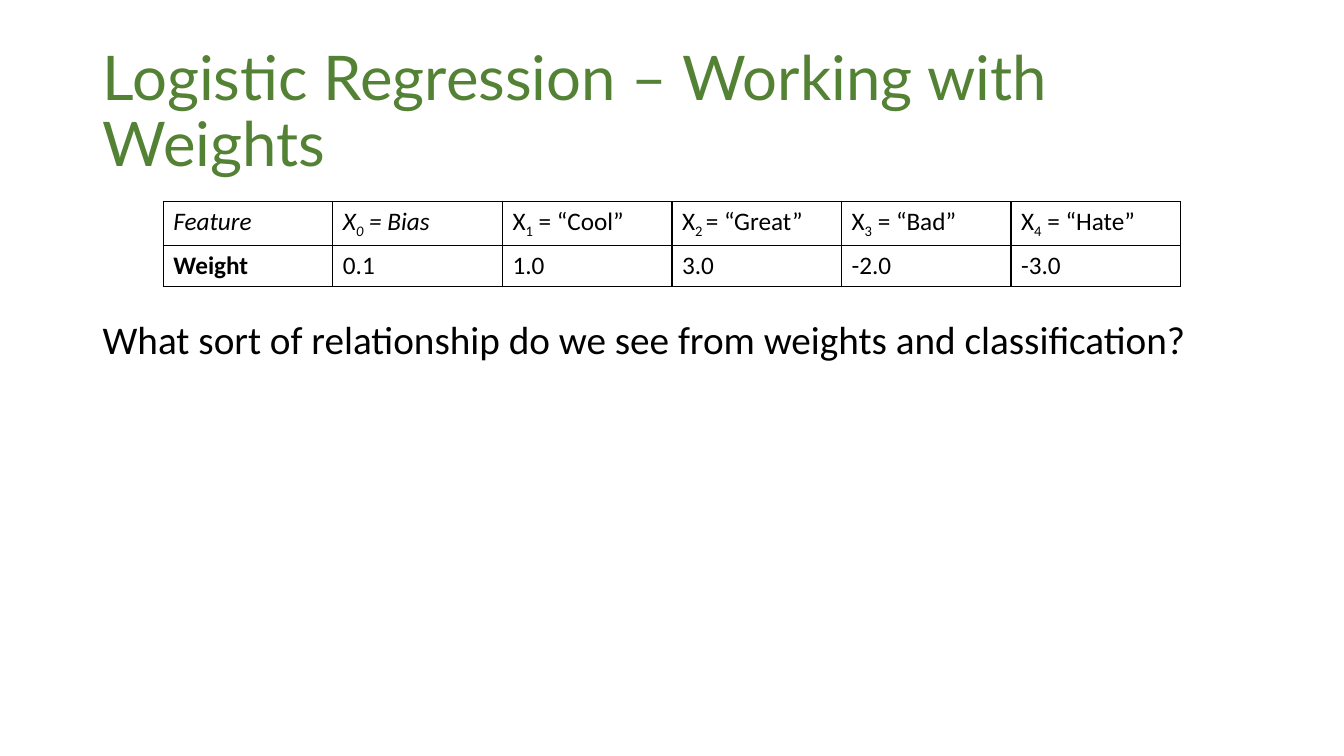
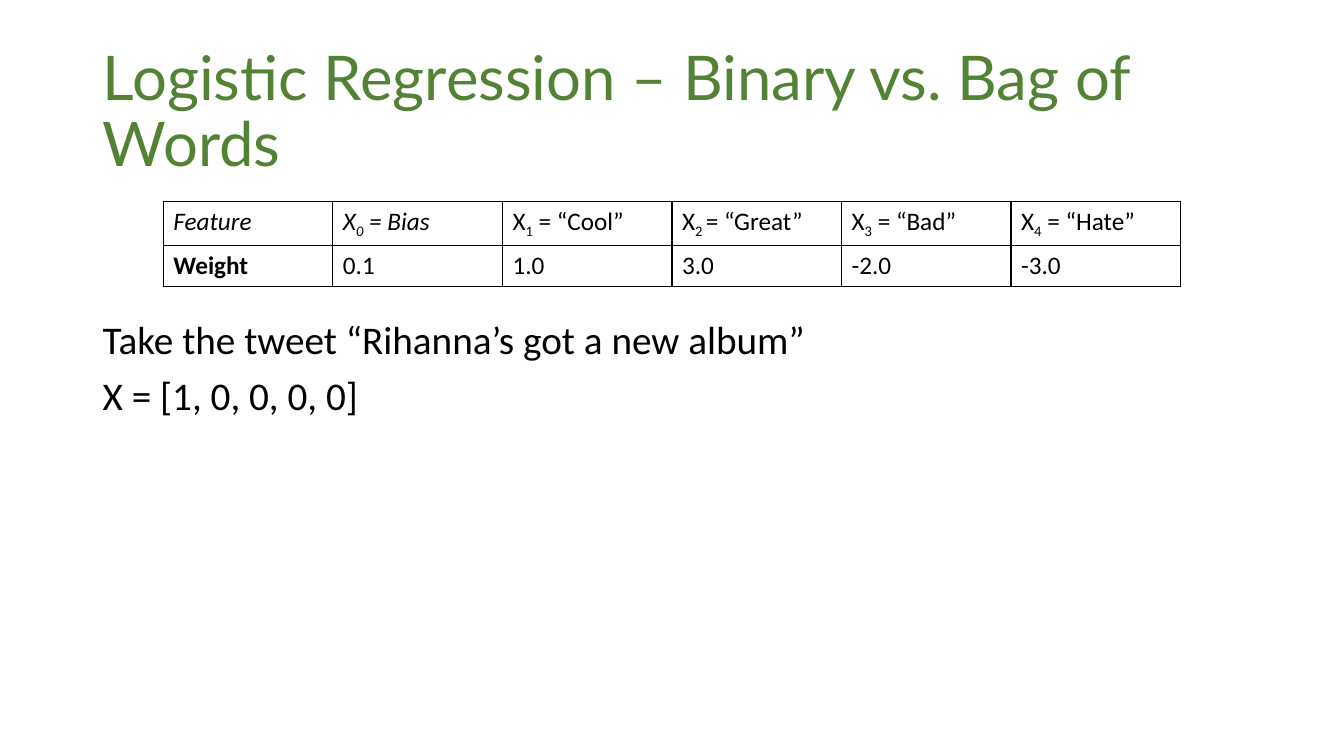
from lxml import etree
from pptx import Presentation
from pptx.dml.color import RGBColor
from pptx.enum.text import MSO_ANCHOR, MSO_AUTO_SIZE, PP_ALIGN
from pptx.oxml.ns import qn
from pptx.util import Inches, Pt

LEFT = PP_ALIGN.LEFT
TOP = MSO_ANCHOR.TOP
MIDDLE = MSO_ANCHOR.MIDDLE
NO_AUTOFIT = MSO_AUTO_SIZE.NONE
TITLE_ONLY = 5

FEATURES = [
    ["Feature"],
    ["X", "0", " = Bias"],
    ["X", "1", " = “Cool”"],
    ["X", "2 ", "= “Great”"],
    ["X", "3", " = “Bad”"],
    ["X", "4", " = “Hate”"],
]
WEIGHTS = ["Weight", "0.1", "1.0", "3.0", "-2.0", "-3.0"]
ITALIC_COLUMNS = 2

SLIDES = [
    (
        "Logistic Regression – Working with Weights",
        ["What sort of relationship do we see from weights and classification?"],
    ),
    (
        "Logistic Regression – Binary vs. Bag of Words",
        ["Take the tweet “Rihanna’s got a new album”", "X = [1, 0, 0, 0, 0]"],
    ),
]


def color(hex_string):
    return RGBColor.from_string(hex_string)


class Deck:
    TITLE_FONT = "Lato"
    BODY_FONT = "Calibri"
    GREEN = "548235"
    BLACK = "000000"
    WHITE = "FFFFFF"
    LEFT_EDGE = Inches(0.92)
    CONTENT_WIDTH = Inches(11.5)

    def __init__(self):
        self.presentation = Presentation()
        self.presentation.slide_width = Inches(13.33)
        self.presentation.slide_height = Inches(7.5)
        self.slide = None

    def add_slide(self, title):
        layout = self.presentation.slide_layouts[TITLE_ONLY]
        self.slide = self.presentation.slides.add_slide(layout)
        shape = self.slide.shapes.title
        shape.left, shape.top = self.LEFT_EDGE, Inches(0.4)
        shape.width, shape.height = self.CONTENT_WIDTH, Inches(1.45)
        self.format_frame(shape.text_frame, MIDDLE)
        paragraph = shape.text_frame.paragraphs[0]
        paragraph.alignment = LEFT
        paragraph.line_spacing = 0.9
        self.add_run(paragraph, title, 44, self.TITLE_FONT, self.GREEN)

    def format_frame(self, frame, anchor):
        frame.word_wrap = True
        frame.auto_size = NO_AUTOFIT
        frame.vertical_anchor = anchor

    def add_run(self, paragraph, text, size, font=BODY_FONT, hex_string=BLACK,
                bold=False, italic=False, subscript=False):
        run = paragraph.add_run()
        run.text = text
        run.font.size = Pt(size)
        run.font.name = font
        run.font.bold = bold
        run.font.italic = italic
        run.font.color.rgb = color(hex_string)
        if subscript:
            run._r.get_or_add_rPr().set("baseline", "-25000")

    def add_body(self, lines):
        shape = self.slide.shapes.add_textbox(
            self.LEFT_EDGE, Inches(3.13), self.CONTENT_WIDTH, Inches(4.37))
        frame = shape.text_frame
        self.format_frame(frame, TOP)
        for index, line in enumerate(lines):
            paragraph = frame.add_paragraph() if index else frame.paragraphs[0]
            paragraph.line_spacing = 0.9
            paragraph.space_before = Pt(10 if index else 0)
            self.add_run(paragraph, line, 28)

    def add_weight_table(self):
        table = self.slide.shapes.add_table(
            2, len(FEATURES), Inches(1.62), Inches(2),
            Inches(10.09), Inches(0.81)).table
        table.first_row = False
        table.horz_banding = False
        for column, (feature, weight) in enumerate(zip(FEATURES, WEIGHTS)):
            italic = column < ITALIC_COLUMNS
            paragraph = self.format_cell(table.cell(0, column))
            for position, text in enumerate(feature):
                self.add_run(paragraph, text, 18, italic=italic,
                             subscript=position == 1)
            paragraph = self.format_cell(table.cell(1, column))
            self.add_run(paragraph, weight, 18, bold=column == 0)

    def format_cell(self, cell):
        cell.fill.solid()
        cell.fill.fore_color.rgb = color(self.WHITE)
        properties = cell._tc.get_or_add_tcPr()
        for index, side in enumerate(("a:lnL", "a:lnR", "a:lnT", "a:lnB")):
            border = etree.Element(qn(side), w=str(Pt(1)))
            fill = etree.SubElement(border, qn("a:solidFill"))
            etree.SubElement(fill, qn("a:srgbClr"), val=self.BLACK)
            properties.insert(index, border)
        return cell.text_frame.paragraphs[0]


def main():
    deck = Deck()
    for title, lines in SLIDES:
        deck.add_slide(title)
        deck.add_body(lines)
        deck.add_weight_table()
    deck.presentation.save("out.pptx")


if __name__ == "__main__":
    main()
